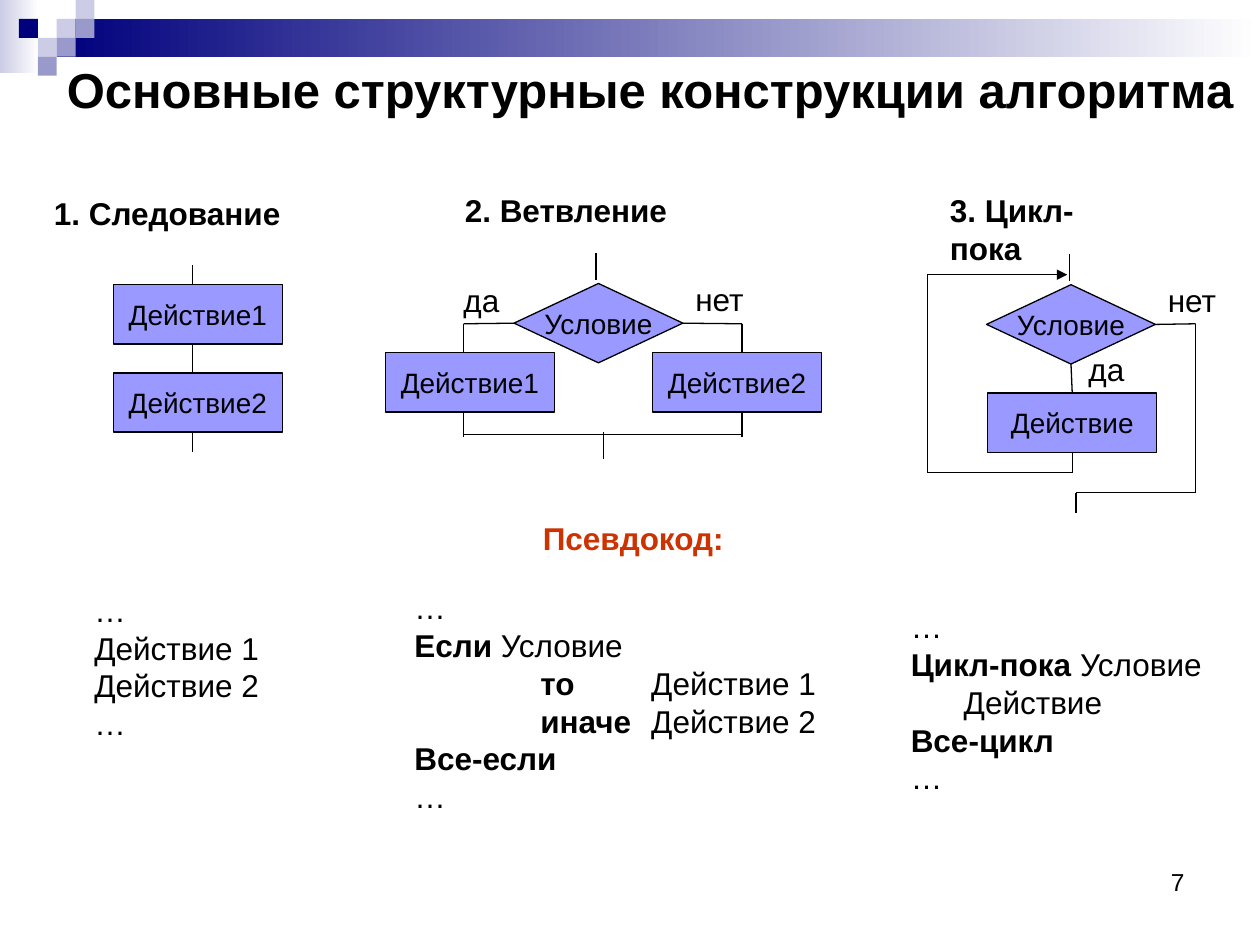
from dataclasses import dataclass
from itertools import pairwise

from lxml.etree import SubElement
from pptx import Presentation
from pptx.dml.color import RGBColor
from pptx.enum.shapes import MSO_CONNECTOR, MSO_SHAPE
from pptx.enum.text import MSO_ANCHOR, MSO_AUTO_SIZE, PP_ALIGN
from pptx.oxml.ns import qn
from pptx.util import Inches, Pt


@dataclass(frozen=True)
class Theme:
    face: str = "Arial"
    ink: str = "000000"
    accent: str = "CC3300"
    node: str = "9999FF"
    navy: str = "00007D"
    pale: str = "CCCCE6"
    mid: str = "9999CC"
    white: str = "FFFFFF"
    title: int = 28
    body: int = 18
    small: int = 16
    page: int = 14
    rule: float = 0.75


THEME = Theme()
CELL = Inches(0.1)  # the slide is a grid of 100 columns and 75 rows
NODE_W, RECT_H, RHOMB_H = 13.4, 4.7, 6.3
TOP, LEFT, BOTTOM, RIGHT = range(4)


def grid(*cells):
    return [round(n * CELL) for n in cells]


def rgb(code):
    return RGBColor.from_string(code)


def style(para, size, bold=False, color=THEME.ink, align=PP_ALIGN.LEFT):
    para.alignment = align
    font = para.font
    font.name, font.size, font.bold = THEME.face, Pt(size), bold
    font.color.rgb = rgb(color)


class Area:
    """Draws parts in grid cells counted from its own corner."""

    def __init__(self, slide, left, top):
        self.shapes, self.left, self.top = slide.shapes, left, top

    def spot(self, x, y):
        return grid(self.left + x, self.top + y)

    def tile(self, x, y, w, h, *colors):
        """A borderless rectangle; two colours make a gradient."""
        tile = self.shapes.add_shape(MSO_SHAPE.RECTANGLE, *self.spot(x, y), *grid(w, h))
        tile.shadow.inherit = False
        tile.line.fill.background()
        if len(colors) == 1:
            tile.fill.solid()
            tile.fill.fore_color.rgb = rgb(colors[0])
            return
        tile.fill.gradient()
        tile.fill.gradient_angle = 0
        for stop, color, place in zip(tile.fill.gradient_stops, colors, (0, 1)):
            stop.color.rgb, stop.position = rgb(color), place

    def node(self, text, x, y, kind=MSO_SHAPE.RECTANGLE):
        high = RHOMB_H if kind == MSO_SHAPE.DIAMOND else RECT_H
        node = self.shapes.add_shape(kind, *self.spot(x, y), *grid(NODE_W, high))
        node.shadow.inherit = False
        node.fill.solid()
        node.fill.fore_color.rgb = rgb(THEME.node)
        node.line.color.rgb, node.line.width = rgb(THEME.ink), Pt(THEME.rule)
        frame = node.text_frame
        frame.word_wrap, frame.vertical_anchor = False, MSO_ANCHOR.MIDDLE
        frame.text = text
        style(frame.paragraphs[0], THEME.small, align=PP_ALIGN.CENTER)
        return node

    def frame(self, x, y, w, h=4):
        frame = self.shapes.add_textbox(*self.spot(x, y), *grid(w, h)).text_frame
        frame.word_wrap, frame.margin_right = True, 0
        return frame

    def note(self, text, x, y, w, **look):
        frame = self.frame(x, y, w)
        frame.text = text
        style(frame.paragraphs[0], THEME.body, **look)

    def wire(self, *ends, arrow=False):
        """Joins (x, y) points or (node, side) pairs in turn."""
        for start, stop in pairwise(ends):
            points = [e for e in (start, stop) if isinstance(e[0], (int, float))]
            first = points[0] if points else (0, 0)
            last = points[-1] if points else (0, 0)
            wire = self.shapes.add_connector(
                MSO_CONNECTOR.STRAIGHT, *self.spot(*first), *self.spot(*last))
            if start not in points:
                wire.begin_connect(*start)
            if stop not in points:
                wire.end_connect(*stop)
            wire.line.color.rgb, wire.line.width = rgb(THEME.ink), Pt(THEME.rule)
            if arrow:
                SubElement(wire.line._get_or_add_ln(), qn("a:tailEnd"), type="triangle")
            SubElement(wire._element.spPr, qn("a:effectLst"))


def banner(area):
    area.tile(0, 0, 3.1, 5.8, THEME.pale, THEME.white)
    area.tile(4.5, 1.5, 95.5, 3, THEME.navy, THEME.white)
    for col, row, color in (
            (3, 1, THEME.pale), (4, 0, THEME.pale), (4, 1, THEME.mid),
            (2, 2, THEME.pale), (1, 1, THEME.navy), (3, 2, THEME.mid),
            (2, 3, THEME.mid)):
        area.tile(col * 1.5, row * 1.5, 1.5, 1.5, color)


def heading(slide, text):
    title = slide.shapes.title
    title.left, title.top, title.width, title.height = grid(4.3, 5, 95.7, 4.1)
    frame = title.text_frame
    frame.text = text
    frame.auto_size, frame.vertical_anchor = MSO_AUTO_SIZE.NONE, MSO_ANCHOR.MIDDLE
    frame.margin_right = 0
    style(frame.paragraphs[0], THEME.title, bold=True)


def sequence(area):
    area.note("1. Следование", 0, 0, 20, bold=True)
    area.node("Действие1", 5.7, 7.7)
    area.node("Действие2", 5.7, 14.7)
    for start, stop in ((6.1, 7.6), (12.4, 14.7), (19.5, 21)):
        area.wire((12, stop), (12, start))


def branch(area):
    area.note("2. Ветвление", 5.3, 0, 18.1, bold=True)
    test = area.node("Условие", 10.2, 7.8, MSO_SHAPE.DIAMOND)
    area.node("Действие1", 0, 13.3)
    area.node("Действие2", 21.2, 13.3)
    area.note("да", 5.2, 7.1, 4.9)
    area.note("нет", 23.6, 7, 5.9)
    area.wire((16.7, 7.5), (16.7, 5.4))
    for side, x in ((LEFT, 6.2), (RIGHT, 28.3)):
        area.wire((test, side), (x, 11), (x, 13.3))
        area.wire((x, 20), (x, 18))
    area.wire((6.2, 19.8), (28.3, 19.8))
    area.wire((17.3, 21.7), (17.3, 19.6))


def loop(area):
    area.note("3. Цикл-пока", 3.1, 0, 14, bold=True)
    test = area.node("Условие", 7, 7.9, MSO_SHAPE.DIAMOND)
    step = area.node("Действие", 7.1, 16.5)
    area.note("да", 14.1, 12.6, 4.8)
    area.note("нет", 20.4, 7.1, 5.9)
    area.wire((13.6, 7.6), (13.6, 5.5))
    area.wire((test, BOTTOM), (step, TOP))
    area.wire((step, BOTTOM), (13.8, 22.8), (2.3, 22.8), (2.3, 7.1))
    area.wire((2.3, 7.1), (13.4, 7.1), arrow=True)
    area.wire((test, RIGHT), (23.6, 11), (23.6, 24.4), (14.1, 24.4), (14.1, 26))


def code(area, width, lines, stops=()):
    """Pseudocode, with keywords set between asterisks."""
    frame = area.frame(0, 0, width, 1 + 3 * len(lines))
    for row, line in enumerate(lines):
        para = frame.add_paragraph() if row else frame.paragraphs[0]
        if "\t" in line:
            tabs = SubElement(para._p.get_or_add_pPr(), qn("a:tabLst"))
            for stop in grid(*stops):
                SubElement(tabs, qn("a:tab"), pos=str(stop), algn="l")
        style(para, THEME.body)
        for part, text in enumerate(line.split("*")):
            if text:
                run = para.add_run()
                run.text, run.font.bold = text, part % 2 == 1


def main():
    deck = Presentation()
    deck.slide_width, deck.slide_height = grid(100, 75)
    slide = deck.slides.add_slide(deck.slide_layouts[5])
    banner(Area(slide, 0, 0))
    heading(slide, "Основные структурные конструкции алгоритма")
    sequence(Area(slide, 3.3, 14.9))
    branch(Area(slide, 30.6, 14.7))
    loop(Area(slide, 71.3, 14.7))
    Area(slide, 42.1, 40.7).note("Псевдокод:", 0, 0, 16.4, bold=True, color=THEME.accent)
    code(Area(slide, 6.5, 46.4), 15.1, ["…", "Действие 1", "Действие 2", "…"])
    code(Area(slide, 31.9, 46.2), 34.1,
         ["…", "*Если* Условие", "\t*то*\tДействие 1", "\t*иначе*\tДействие 2",
          "*Все-если*", "…"], (10, 18.8))
    code(Area(slide, 71.3, 47.7), 25.2,
         ["…", "*Цикл-пока* Условие", "\tДействие", "*Все-цикл*", "…"], (4.2,))
    page = Area(slide, 71.7, 68.3).frame(0, 0, 22.3, 5.2)
    page.text = "7"
    style(page.paragraphs[0], THEME.page, align=PP_ALIGN.RIGHT)
    deck.save("out.pptx")


if __name__ == "__main__":
    main()
